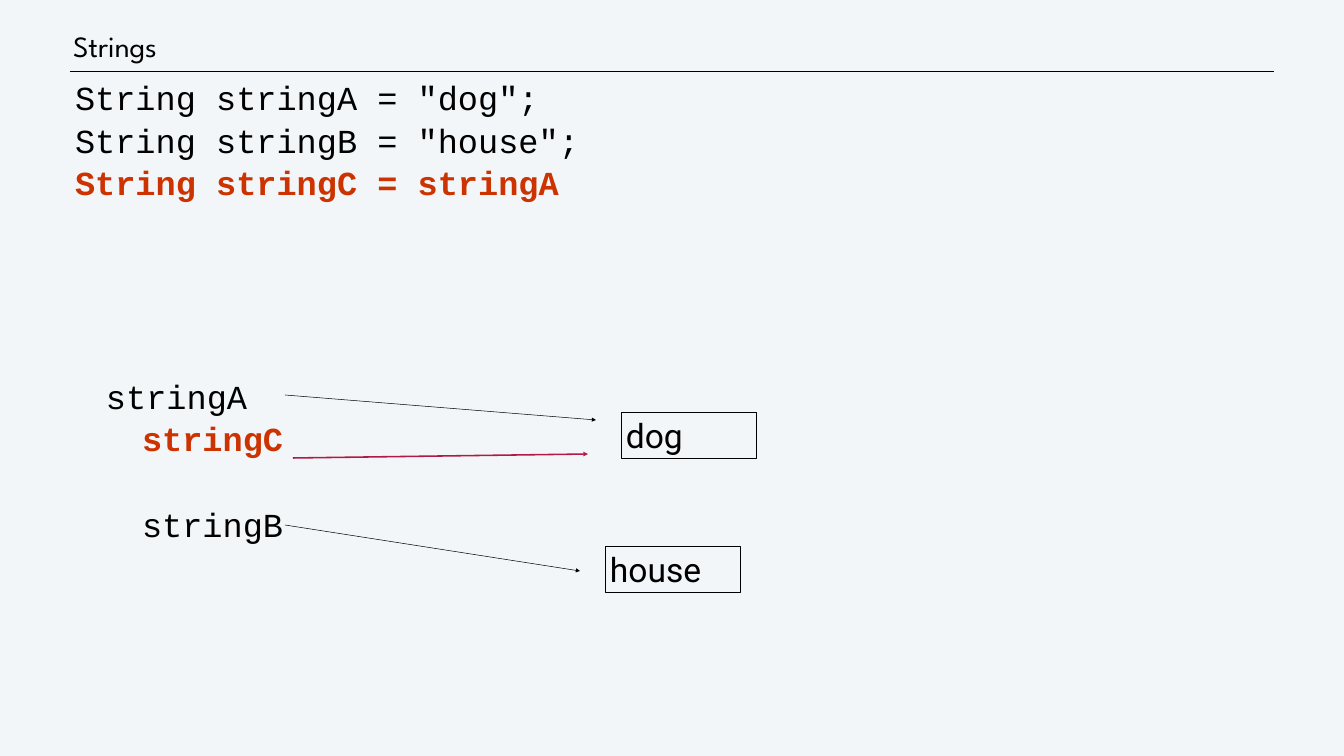
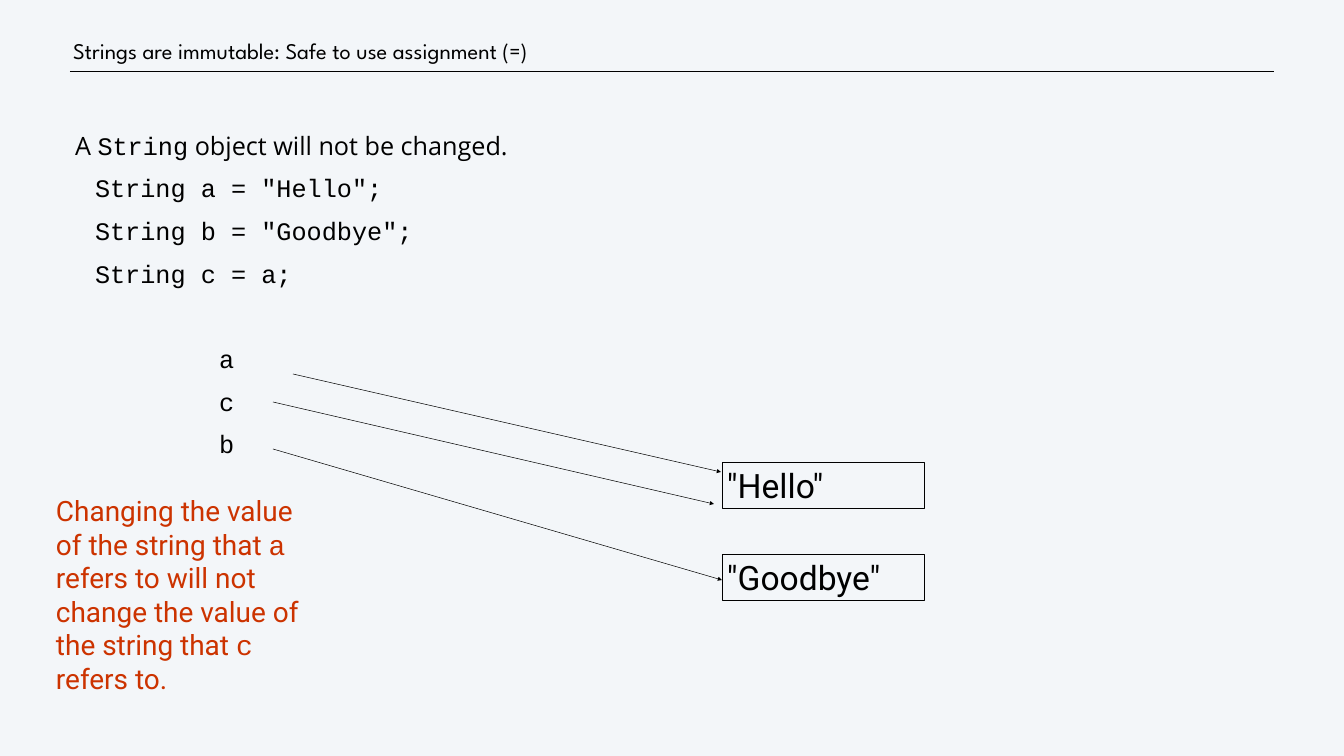
from lxml import etree
from pptx import Presentation
from pptx import util as u
from pptx.dml.color import RGBColor
from pptx.enum import shapes, text
from pptx.oxml import ns

PX = 914400 / 50.4
SLIDE_SIZE = (1344, 756)
COLORS = {"paper": "F3F6F9", "ink": "000000", "accent": "CC3300", "arrow": "B21A42"}
FONTS = {"title": "League Spartan", "code": "Courier New", "prose": "Open Sans", "label": "Roboto"}
LINE_PITCH = 43
LINE_GAP = 18
VALUE_HEIGHT = 46


def px(value):
    return u.Emu(round(value * PX))


def color(name):
    return RGBColor.from_string(COLORS[name])


def set_all(target, values):
    for name, value in values.items():
        setattr(target, name, value)


def place(shape, box):
    set_all(shape, dict(zip(("left", "top", "width", "height"), map(px, box))))


def write(paragraph, runs, size):
    for words, font, ink, bold in runs:
        run = paragraph.add_run()
        run.text = words
        set_all(run.font, {"name": FONTS[font], "size": u.Pt(size), "bold": bold})
        run.font.color.rgb = color(ink)


def run_of(words, font="code", ink="ink", bold=False):
    return words, font, ink, bold


def set_frame(frame, anchor, margin):
    sides = ("margin_left", "margin_top", "margin_right", "margin_bottom")
    set_all(frame, dict.fromkeys(sides, px(margin)))
    set_all(frame, {"word_wrap": True, "vertical_anchor": anchor,
                    "auto_size": text.MSO_AUTO_SIZE.NONE})


def add_line(slide, start, end, ink="ink", width=0.75, arrow=False):
    line = slide.shapes.add_connector(
        shapes.MSO_CONNECTOR.STRAIGHT, *map(px, (*start, *end)))
    line.line.color.rgb = color(ink)
    line.line.width = u.Pt(width)
    if arrow:
        etree.SubElement(line.line._get_or_add_ln(), ns.qn("a:tailEnd"), type="triangle")
    etree.SubElement(line._element.spPr, ns.qn("a:effectLst"))


def add_header(slide, box, title, size):
    left, top, width, height = box
    add_line(slide, (left, top + height), (left + 1204, top + height), width=1)
    shape = slide.shapes.title
    place(shape, box)
    set_frame(shape.text_frame, text.MSO_ANCHOR.MIDDLE, 3)
    paragraph = shape.text_frame.paragraphs[0]
    set_all(paragraph, {"alignment": text.PP_ALIGN.LEFT, "line_spacing": u.Pt(50)})
    write(paragraph, [run_of(title, "title")], size)


def add_body(slide, box, lines, size):
    shape = slide.placeholders[1]
    place(shape, box)
    frame = shape.text_frame
    set_frame(frame, text.MSO_ANCHOR.TOP, 3)
    for index, (runs, indent, level, skipped) in enumerate(lines):
        paragraph = frame.add_paragraph() if index else frame.paragraphs[0]
        gap = LINE_GAP + skipped * (LINE_PITCH + LINE_GAP)
        set_all(paragraph, {"level": level, "alignment": text.PP_ALIGN.LEFT,
                            "line_spacing": u.Pt(LINE_PITCH), "space_before": u.Pt(gap)})
        properties = paragraph._p.get_or_add_pPr()
        properties.set("marL", str(px(indent)))
        properties.set("indent", "0")
        etree.SubElement(properties, ns.qn("a:buNone"))
        write(paragraph, runs, size)


def add_value(slide, box, value):
    shape = slide.shapes.add_shape(shapes.MSO_SHAPE.RECTANGLE, *map(px, box))
    shape.shadow.inherit = False
    shape.fill.background()
    shape.line.color.rgb = color("ink")
    shape.line.width = u.Pt(0.75)
    set_all(shape.text_frame, {"word_wrap": True, "vertical_anchor": text.MSO_ANCHOR.TOP,
                               "auto_size": text.MSO_AUTO_SIZE.SHAPE_TO_FIT_TEXT})
    paragraph = shape.text_frame.paragraphs[0]
    paragraph.alignment = text.PP_ALIGN.LEFT
    write(paragraph, [run_of(value, "label")], 48)


def add_references(slide, origin, value_width, values, arrows):
    left, top = origin
    for value, x, y in values:
        add_value(slide, (left + x, top + y, value_width, VALUE_HEIGHT), value)
    for x1, y1, x2, y2, ink, width in arrows:
        add_line(slide, (left + x1, top + y1), (left + x2, top + y2), ink, width, arrow=True)


def add_note(slide, box, runs):
    shape = slide.shapes.add_textbox(*map(px, box))
    set_all(shape.text_frame, {"word_wrap": True,
                               "auto_size": text.MSO_AUTO_SIZE.SHAPE_TO_FIT_TEXT})
    write(shape.text_frame.paragraphs[0], runs, 40)


def build_strings(slide):
    add_header(slide, (70, 21, 1140, 50), "Strings", 42)
    add_body(slide, (67, 84, 1206, 639), [
        ([run_of('String stringA = "dog";')], 5, 0, 0),
        ([run_of('String stringB = "house";')], 5, 0, 0),
        ([run_of("String stringC = stringA", ink="accent", bold=True)], 5, 0, 0),
        ([run_of("stringA")], 36, 0, 4),
        ([run_of("stringC", ink="accent", bold=True)], 72, 0, 0),
        ([run_of("stringB")], 72, 0, 1),
    ], 48)
    add_references(slide, (285, 395), 135,
                   [("dog", 336, 17), ("house", 320, 151)],
                   [(0, 0, 311, 25, "ink", 0.75),
                    (8, 63, 303, 59, "arrow", 2.25),
                    (0, 130, 295, 176, "ink", 0.75)])


def build_immutable(slide):
    add_header(slide, (70, 21, 1242, 50),
               "Strings are immutable: Safe to use assignment (=)", 32)
    statements = ['String a = "Hello";', 'String b = "Goodbye";', "String c = a;"]
    opening = [run_of("A ", "prose"), run_of("String"),
               run_of(" object will not be changed.", "prose")]
    add_body(slide, (67, 127, 1206, 596),
             [(opening, 5, 0, 0)]
             + [([run_of(statement)], 25, 1, 0) for statement in statements]
             + [([run_of(name)], 149, 1, int(name == "a")) for name in "acb"], 36)
    add_references(slide, (273, 374), 202,
                   [('"Hello"', 449, 88), ('"Goodbye"', 449, 180)],
                   [(20, 0, 448, 98, "ink", 0.75),
                    (0, 28, 441, 130, "ink", 0.75),
                    (0, 75, 449, 206, "ink", 0.75)])
    note = [("Changing the value of the string that ", "label"), ("a", "code"),
            (" refers to will not change the value of the string that ", "label"),
            ("c", "code"), (" refers to.", "label")]
    add_note(slide, (51, 491, 269, 209), [run_of(*part, "accent") for part in note])


def main():
    presentation = Presentation()
    presentation.slide_width, presentation.slide_height = map(px, SLIDE_SIZE)
    background = presentation.slide_master.background.fill
    background.solid()
    background.fore_color.rgb = color("paper")
    for build in (build_strings, build_immutable):
        build(presentation.slides.add_slide(presentation.slide_layouts[1]))
    presentation.save("out.pptx")


if __name__ == "__main__":
    main()
